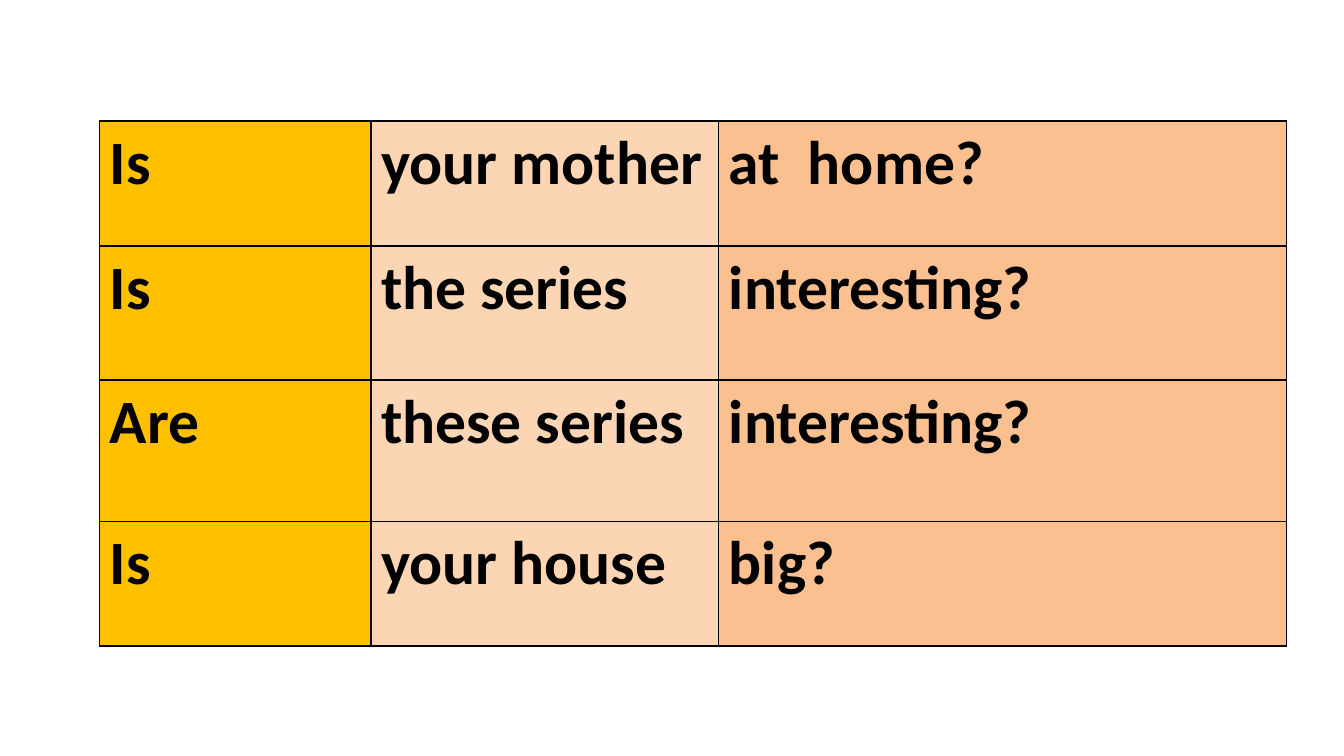
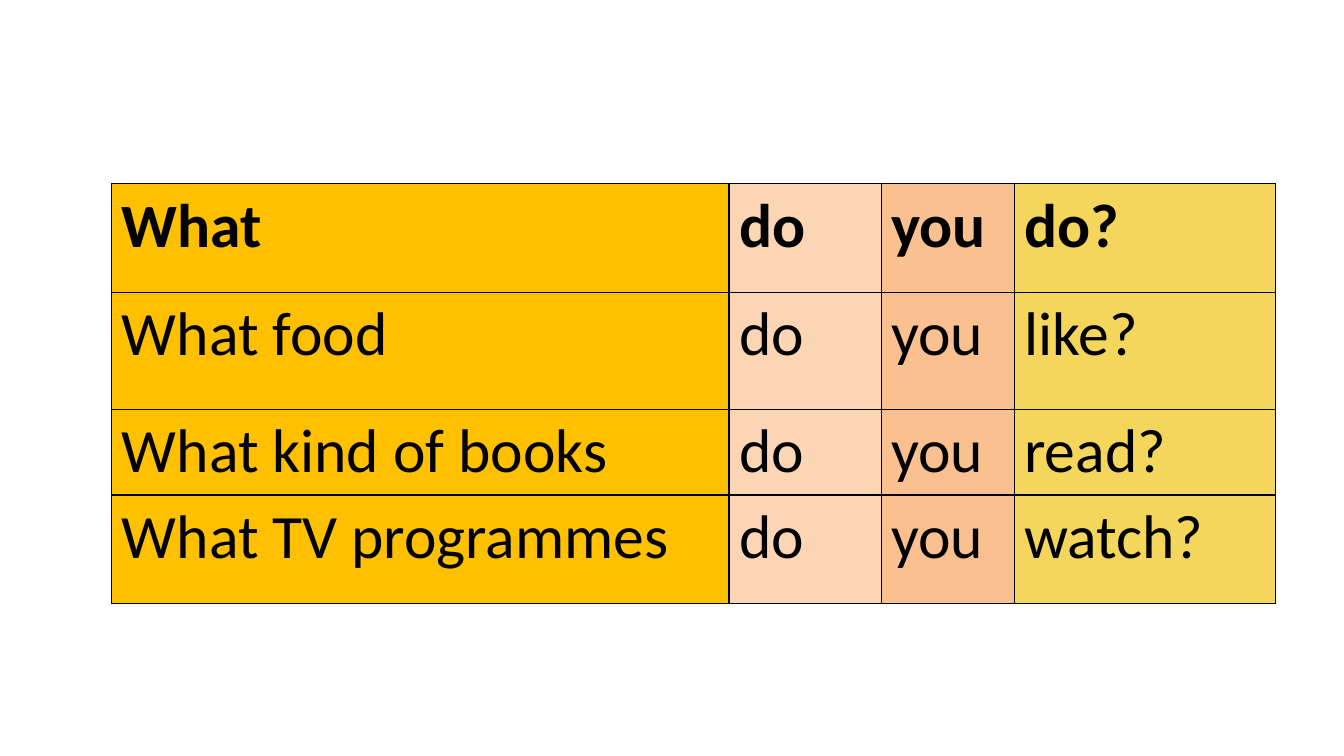
from lxml import etree
from pptx import Presentation, util as u
from pptx.dml.color import RGBColor
from pptx.oxml import ns

# Shared style
PX = 9144  # EMU per px, 100 px to the inch
BLACK = RGBColor(0x00, 0x00, 0x00)
AMBER = RGBColor(0xFF, 0xC0, 0x00)
PEACH = RGBColor(0xFC, 0xD5, 0xB5)
ORANGE = RGBColor(0xFA, 0xC0, 0x90)
YELLOW = RGBColor(0xF3, 0xD6, 0x5B)
COLUMN_FILLS = (AMBER, PEACH, ORANGE, YELLOW)


class Deck:
    FONT = {"name": "Calibri", "size": u.Pt(44)}
    TABLE = {"first_row": False, "horz_banding": False}
    BORDER = u.Pt(1)
    BLANK_LAYOUT = 6

    def __init__(self, width, height):
        self.presentation = Presentation()
        self.presentation.slide_width = width * PX
        self.presentation.slide_height = height * PX
        self.slide = None

    def add_slide(self):
        layout = self.presentation.slide_layouts[self.BLANK_LAYOUT]
        self.slide = self.presentation.slides.add_slide(layout)

    def add_table(self, left, top, widths, heights, rows, bold_rows):
        """Place a sentence table; the first bold_rows rows are bold."""
        frame = self.slide.shapes.add_table(
            len(heights), len(widths), left * PX, top * PX,
            sum(widths) * PX, sum(heights) * PX)
        table = frame.table
        for name, value in self.TABLE.items():
            setattr(table, name, value)
        for column, width in zip(table.columns, widths):
            column.width = width * PX
        for row, height in zip(table.rows, heights):
            row.height = height * PX
        for row_index, words in enumerate(rows):
            for column_index, word in enumerate(words):
                self.format_cell(table.cell(row_index, column_index), word,
                                 COLUMN_FILLS[column_index],
                                 row_index < bold_rows)

    def format_cell(self, cell, word, fill, bold):
        self.add_borders(cell)
        cell.fill.solid()
        cell.fill.fore_color.rgb = fill
        run = cell.text_frame.paragraphs[0].add_run()
        run.text = word
        for name, value in {**self.FONT, "bold": bold}.items():
            setattr(run.font, name, value)
        run.font.color.rgb = BLACK

    def add_borders(self, cell):
        properties = cell._tc.get_or_add_tcPr()
        for side in ("a:lnL", "a:lnR", "a:lnT", "a:lnB"):
            line = etree.SubElement(properties, ns.qn(side), w=str(self.BORDER))
            solid = etree.SubElement(line, ns.qn("a:solidFill"))
            etree.SubElement(solid, ns.qn("a:srgbClr"), val=str(BLACK))


def main():
    deck = Deck(1333, 750)

    # Questions with the verb "to be"
    deck.add_slide()
    be_questions = [
        ("Is", "your mother", "at  home?"),
        ("Is", "the series", "interesting?"),
        ("Are", "these series", "interesting?"),
        ("Is", "your house", "big?"),
    ]
    deck.add_table(99, 120, (269, 345, 563), (124, 133, 140, 124),
                   be_questions, bold_rows=len(be_questions))

    # Questions with "what" and "do"
    deck.add_slide()
    what_questions = [
        (subject, "do", "you", verb) for subject, verb in (
            ("What", "do?"),
            ("What food", "like?"),
            ("What kind of books", "read?"),
            ("What TV programmes", "watch?"),
        )
    ]
    deck.add_table(111, 182, (612, 151, 132, 259), (108, 116, 85, 108),
                   what_questions, bold_rows=1)

    deck.presentation.save("out.pptx")


if __name__ == "__main__":
    main()
